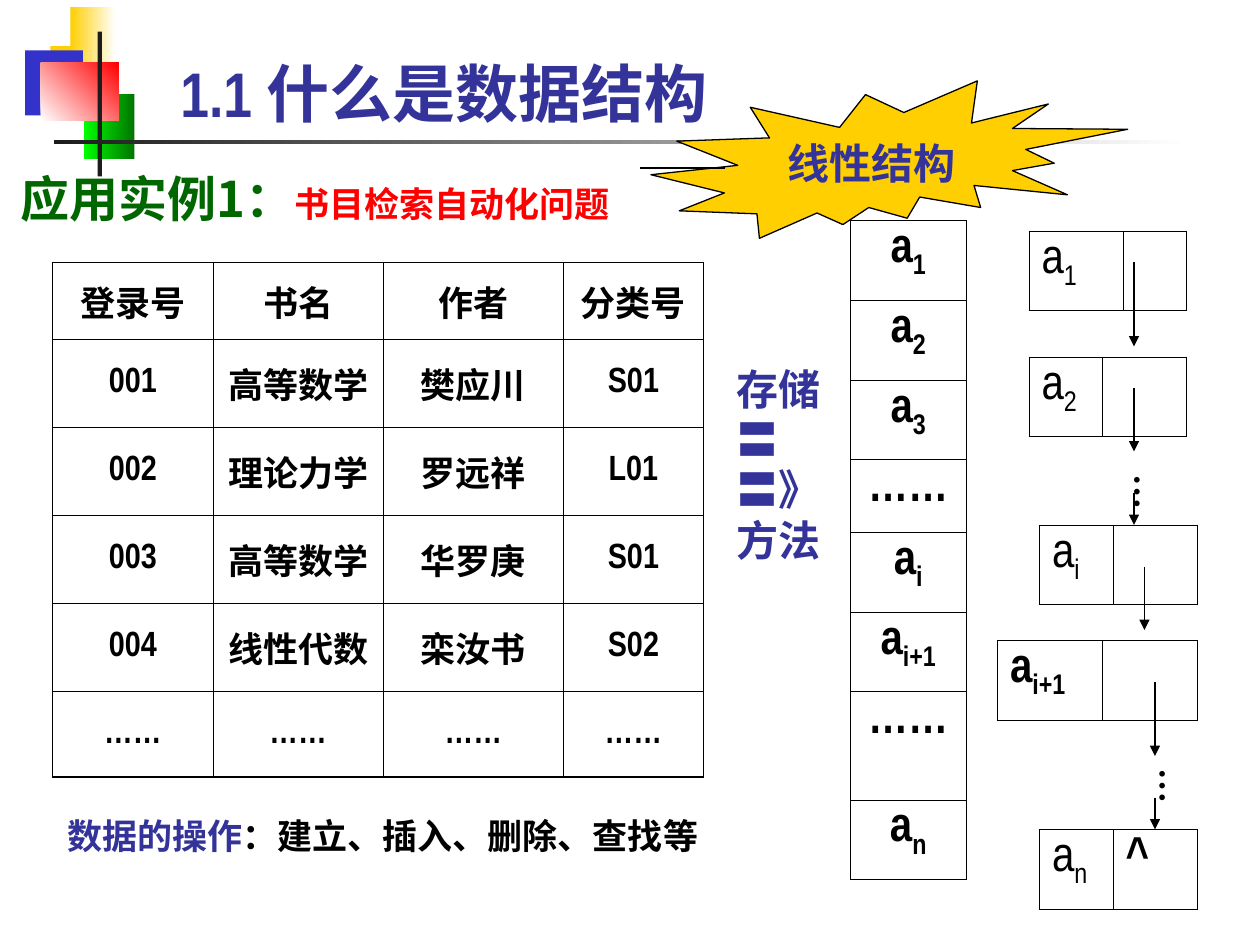
from pptx import Presentation, util as u
from pptx.dml.color import RGBColor
from pptx.enum import shapes, text
from pptx.oxml import parse_xml
from pptx.oxml.ns import nsdecls, qn
from lxml import etree

BLACK = RGBColor(0, 0, 0)
INK = RGBColor(0x1C, 0x1C, 0x1C)
WHITE = RGBColor(0xFF, 0xFF, 0xFF)
GOLD = RGBColor(0xFF, 0xCF, 0x01)
BLUE = RGBColor(0x33, 0x33, 0xCC)
NAVY = RGBColor(0x33, 0x33, 0x99)
LIME = RGBColor(0, 0xFF, 0)
GREEN = RGBColor(0, 0x76, 0)
PINE = RGBColor(0, 0x66, 0)
RED = RGBColor(0xFF, 0, 0)
SANS, SERIF, HAN = "Arial Narrow", "Times New Roman", "Noto Sans CJK SC"
COLS, ROWS = 120, 90
UNIT = u.Inches(10) // COLS
THIN, THICK = 0.45, 1.08
NODE = 7.6


def span(*sizes):
    return [round(size * UNIT) for size in sizes]


def style(font, name, size, color, bold=True):
    font.name, font.size, font.bold = name, u.Pt(size), bold
    font.color.rgb = color


def inset(body, side, top):
    body.margin_left = body.margin_right = u.Inches(side)
    body.margin_top = body.margin_bottom = u.Inches(top)


def label(slide, box, runs, name, size, color, gap=0, wrap=True):
    body = slide.shapes.add_textbox(*span(*box)).text_frame
    body.word_wrap = wrap
    inset(body, 0.1, 0.05)
    par = body.paragraphs[0]
    par.space_before = u.Pt(gap)
    style(par.font, name, size, color)
    for words, look in runs:
        run = par.add_run()
        run.text = words
        if look:
            style(run.font, *look)
    return body


def block(slide, box, color, end=None, angle=0):
    rect = slide.shapes.add_shape(shapes.MSO_SHAPE.RECTANGLE, *span(*box))
    rect.shadow.inherit = False
    rect.line.fill.background()
    if end is None:
        rect.fill.solid()
        rect.fill.fore_color.rgb = color
        return
    rect.fill.gradient()
    rect.fill.gradient_angle = angle
    for stop, shade in zip(rect.fill.gradient_stops, (color, end)):
        stop.color.rgb = shade


def header(slide, box):
    x, y, w, h = box
    for part, *paint in (
        ((2.4, 3.7, 5.8, 6.2), GOLD),
        ((4.3, 0, 4.3, 6.2), GOLD, WHITE),
        ((0, 4.1, 5.5, 6.2), BLUE),
        ((5.6, 8.3, 4.8, 6.2), LIME, GREEN),
        ((1.5, 5.3, 7.4, 5.5), WHITE, RED, 45),
        ((6.9, 2.3, 0.4, 13.8), INK),
        ((2.7, 12.6, w - 2.7, 0.4), INK, WHITE),
    ):
        block(slide, (x + part[0], y + part[1], *part[2:]), *paint)
    title = label(slide, (x + 13.6, y + 2.3, 102, 10),
                  [("1.1 什么是数据结构", None)], SANS, 36, NAVY)
    title.vertical_anchor = text.MSO_ANCHOR.BOTTOM


def border(cell, widths):
    props = cell._tc.get_or_add_tcPr()
    for spot, (side, width) in enumerate(zip("LRTB", widths)):
        props.insert(spot, parse_xml(
            f'<a:ln{side} {nsdecls("a")} w="{u.Pt(width)}"><a:solidFill>'
            f'<a:srgbClr val="{BLACK}"/></a:solidFill></a:ln{side}>'))


def grid(slide, spot, wide, high, data, size, gap, edge=THIN,
         center=True, bold=True, middle=False):
    frame = slide.shapes.add_table(len(high), len(wide),
                                   *span(*spot, sum(wide), sum(high)))
    table = frame.table
    table.first_row = table.horz_banding = False
    for col, width in zip(table.columns, span(*wide)):
        col.width = width
    for row, height in zip(table.rows, span(*high)):
        row.height = height
    for r, line in enumerate(data):
        for c, words in enumerate(line):
            cell = table.cell(r, c)
            cell.fill.background()
            ends = (c == 0, c == len(wide) - 1, r == 0, r == len(high) - 1)
            border(cell, [edge if end else THIN for end in ends])
            if middle:
                cell.vertical_anchor = text.MSO_ANCHOR.MIDDLE
            par = cell.text_frame.paragraphs[0]
            par.space_before = u.Pt(gap)
            if center:
                par.alignment = text.PP_ALIGN.CENTER
            style(par.font, SANS, size, BLACK, bold or words == "^")
            for n, part in enumerate(words.split("_")):
                run = par.add_run()
                run.text = part
                if n:
                    run.font._element.set("baseline", "-25000")


def stroke(owner, x, top, right, bottom, arrow=True):
    line = owner.shapes.add_connector(
        shapes.MSO_CONNECTOR.STRAIGHT, *span(x, top, right, bottom))
    line.line.color.rgb = BLACK
    line.line.width = u.Pt(0.75)
    if arrow:
        etree.SubElement(line.line._get_or_add_ln(), qn("a:tailEnd"),
                         type="triangle")
    etree.SubElement(line._element.spPr, qn("a:effectLst"))


def books(slide, box):
    dots = "……"
    data = [("登录号", "书名", "作者", "分类号"),
            ("001", "高等数学", "樊应川", "S01"),
            ("002", "理论力学", "罗远祥", "L01"),
            ("003", "高等数学", "华罗庚", "S01"),
            ("004", "线性代数", "栾汝书", "S02"),
            (dots,) * 4]
    x, y, w, h = box
    wide = [w * part for part in (0.247, 0.261, 0.277, 0.215)]
    high = [h * part for part in (0.15, *[0.171] * 4, 0.166)]
    grid(slide, (x, y), wide, high, data, 20, 5, THICK, middle=True)


def array(slide, box):
    x, y, w, h = box
    items = ["a_1", "a_2", "a_3", "……", "a_i", "a_i+1", "……", "a_n"]
    high = [NODE] * len(items)
    high[3] = 6.9
    high[6] = h - sum(high) + NODE
    grid(slide, (x, y), [w], high, [[item] for item in items], 28, 7)


def chain(slide, box):
    x, y, w, h = box
    for left, top, key, link, name, mark in (
        (3, 0, 9, 6, "a_1", ""),
        (3, 12, 7, 8, "a_2", ""),
        (4, 28, 7, 8, "a_i", ""),
        (0, 39, 10, 9, "a_i+1", ""),
        (4, 57, 7, 8, "a_n", "^"),
    ):
        grid(slide, (x + left, y + top), [key, link], [NODE],
             [[name, mark]], 28, 7, center=False, bold=name == "a_i+1")
    for left, top, drop in ((13, 3, 8), (13, 15, 6), (14, 32, 6),
                            (15, 43, 7), (15, 54, 3), (13, 25, 3)):
        stroke(slide, x + left, y + top, x + left, y + top + drop)
    for left, top in ((10.6, 22), (13, 50)):
        body = label(slide, (x + left, y + top, 6.4, 5),
                     [("…", None)], SERIF, 20, BLACK, 12.5)
        inset(body, 0.05, 0.1)
        body._txBody.bodyPr.set("vert", "eaVert")


def burst(slide, box):
    x, y, w, h = box
    group = slide.shapes.add_group_shape()
    seal = group.shapes.add_shape(shapes.MSO_SHAPE.EXPLOSION2,
                                  *span(x + 1, y, w - 1, h))
    seal.shadow.inherit = False
    seal.fill.solid()
    seal.fill.fore_color.rgb = GOLD
    seal.line.color.rgb = BLACK
    seal.line.width = u.Pt(0.75)
    body = seal.text_frame
    body.word_wrap = False
    body.vertical_anchor = text.MSO_ANCHOR.MIDDLE
    par = body.paragraphs[0]
    par.alignment = text.PP_ALIGN.CENTER
    style(par.font, SERIF, 24, NAVY)
    par.add_run().text = "线性结构"
    stroke(group, x, y + 8.3, x + 8, y + 8.3, arrow=False)


def main():
    deck = Presentation()
    deck.slide_width, deck.slide_height = span(COLS, ROWS)
    slide = deck.slides.add_slide(deck.slide_layouts[6])
    header(slide, (2.4, 0.7, 110.8, 16))
    books(slide, (5, 25, 62, 49))
    array(slide, (81, 21, 11, 62.8))
    chain(slide, (95, 22, 19, 64))
    label(slide, (69, 34, 13, 20.4), [("存储〓〓》方法", None)],
          SERIF, 24, NAVY, 15)
    burst(slide, (61, 7.7, 46.4, 15))
    label(slide, (5.2, 77, 62.5, 5.3),
          [("数据的操作", None),
           ("：建立、插入、删除、查找等", (SERIF, 20, BLACK))],
          SERIF, 20, NAVY, 12.5, wrap=False)
    label(slide, (0.8, 15.5, 60.6, 6.8),
          [("应用实例1：", None),
           ("书目检索自动化问题", (SANS, 20, RED))], HAN, 28, PINE)
    deck.save("out.pptx")


if __name__ == "__main__":
    main()
